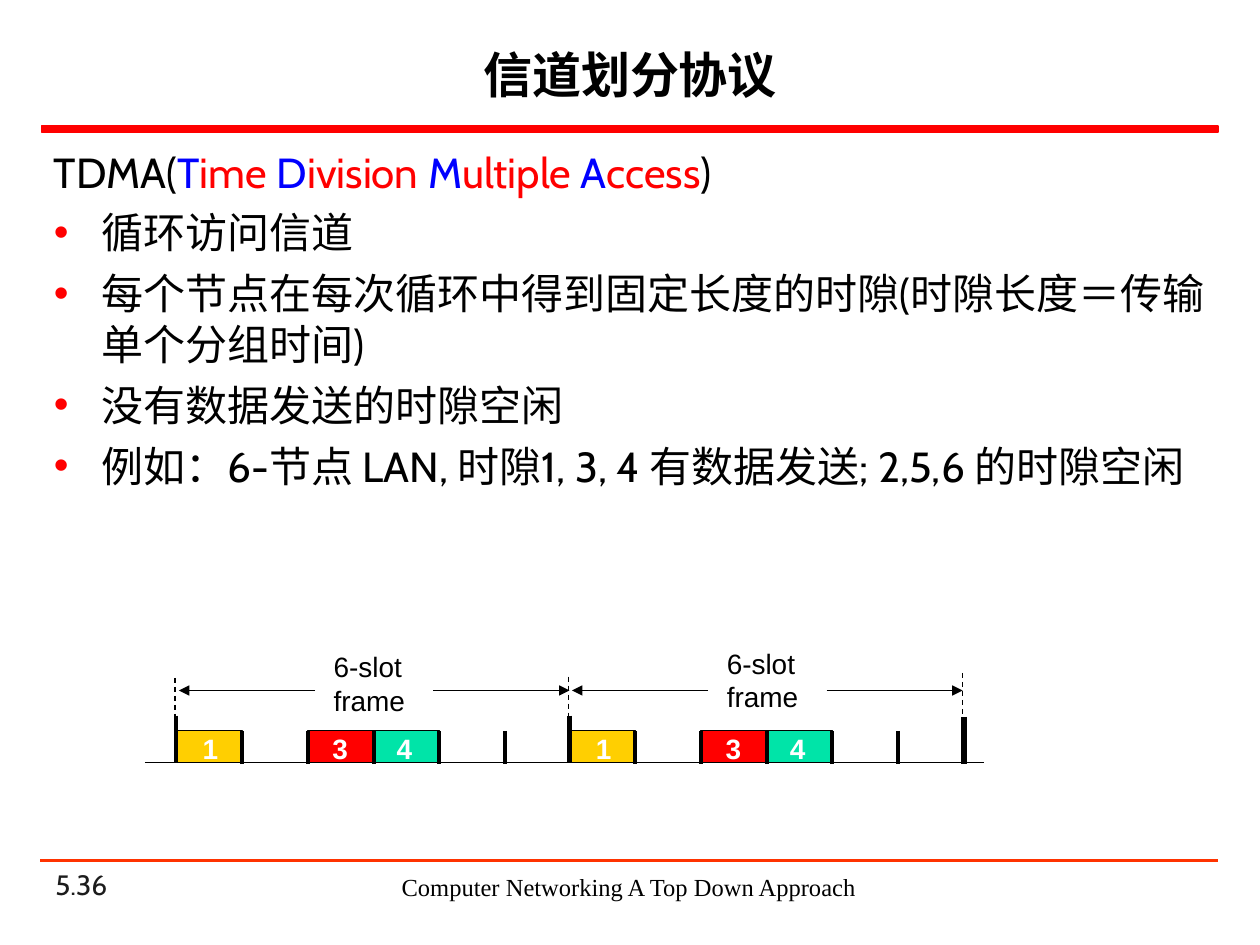
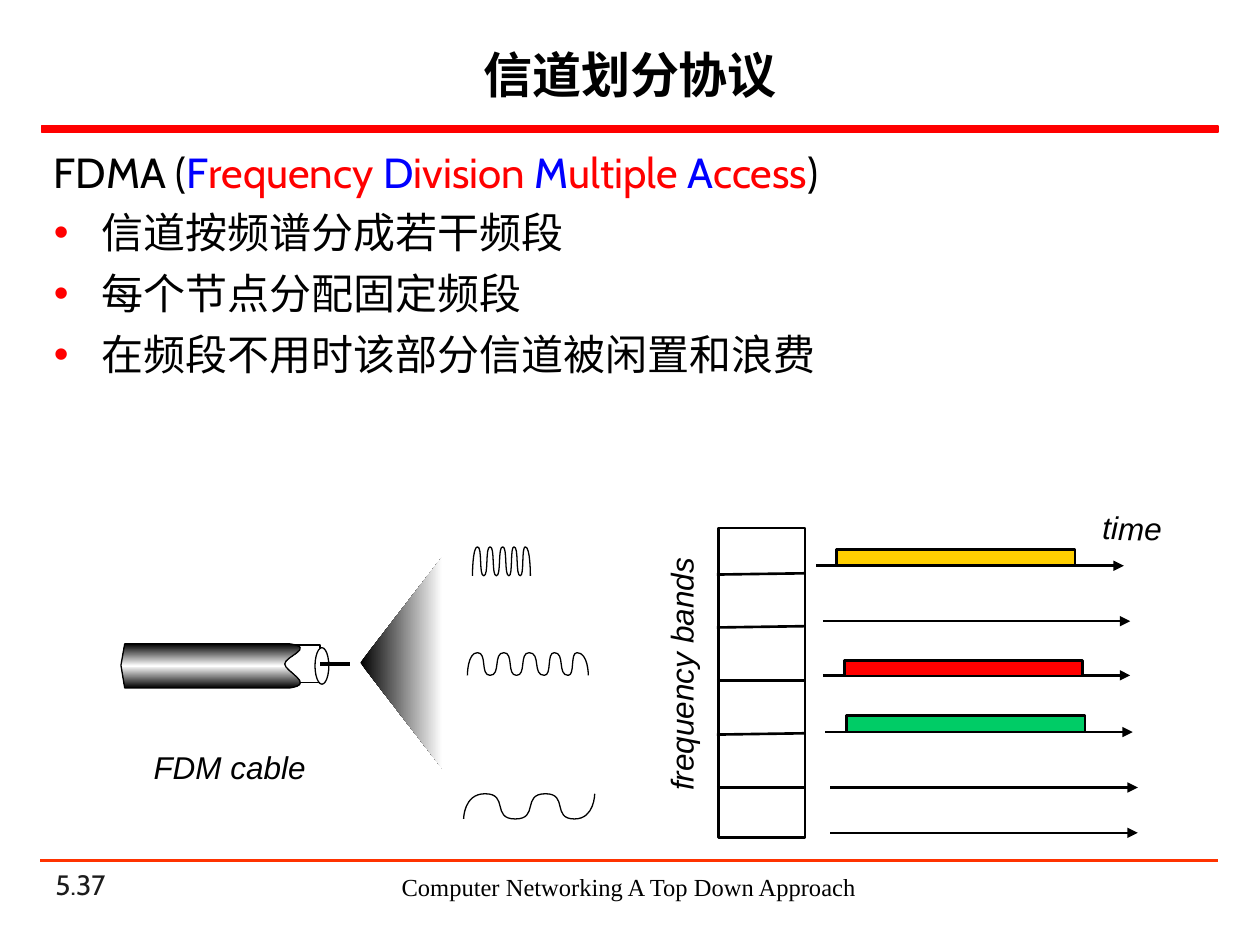
from copy import deepcopy
from pptx import Presentation
from pptx.dml.color import RGBColor
from pptx.enum.dml import MSO_LINE
from pptx.enum.shapes import MSO_CONNECTOR, MSO_SHAPE
from pptx.enum.text import MSO_ANCHOR, PP_ALIGN
from pptx.oxml.ns import qn
from pptx.oxml.xmlchemy import OxmlElement
from pptx.util import Inches, Pt

RECT, OVAL = MSO_SHAPE.RECTANGLE, MSO_SHAPE.OVAL
STRAIGHT, DASH = MSO_CONNECTOR.STRAIGHT, MSO_LINE.DASH
LEFT, CENTER = PP_ALIGN.LEFT, PP_ALIGN.CENTER
TOP, MIDDLE, BOTTOM = MSO_ANCHOR.TOP, MSO_ANCHOR.MIDDLE, MSO_ANCHOR.BOTTOM

BLACK = RGBColor(0x00, 0x00, 0x00)
WHITE = RGBColor(0xFF, 0xFF, 0xFF)
RED = RGBColor(0xFF, 0x00, 0x00)
BLUE = RGBColor(0x00, 0x00, 0xFF)
GOLD = RGBColor(0xFF, 0xCF, 0x01)
MINT = RGBColor(0x00, 0xE4, 0xA8)
GREEN = RGBColor(0x00, 0xCC, 0x66)
RULE = RGBColor(0xFF, 0x33, 0x00)
GREY = RGBColor(0x1C, 0x1C, 0x1C)

HEAD = {"name": "Cabin", "size": Pt(28), "bold": True}
BODY = {"name": "Cabin", "size": Pt(24)}
PAGE = {"name": "Cabin", "size": Pt(16)}
FOOT = {"name": "Times New Roman", "size": Pt(14)}
SLOT = {"name": "Arial", "size": Pt(16), "bold": True}
SPAN = {"name": "Arial", "size": Pt(16)}
NOTE = {"name": "Arial", "size": Pt(18), "italic": True}


def write(shape, box, paras, fmt, align=LEFT, anchor=TOP, wrap=True):
    """Place a text shape and fill it; each paragraph is a list of (text, colour)."""
    shape.left, shape.top, shape.width, shape.height = map(Inches, box)
    frame = shape.text_frame
    frame.word_wrap, frame.vertical_anchor = wrap, anchor
    for i, runs in enumerate(paras):
        para = frame.add_paragraph() if i else frame.paragraphs[0]
        para.alignment = align
        for words, color in runs:
            run = para.add_run()
            run.text = words
            run.font.color.rgb = color
            for key, value in fmt.items():
                setattr(run.font, key, value)
    return shape


def draw(shapes, x1, y1, x2, y2, width=0.75, color=BLACK, dash=None, arrow=False):
    """Draw a straight line, with an arrowhead at its end if asked."""
    link = shapes.add_connector(STRAIGHT, *map(Inches, (x1, y1, x2, y2)))
    link.line.width = Pt(width)
    link.line.color.rgb = color
    if dash:
        link.line.dash_style = dash
    props = link.line._get_or_add_ln().getparent()
    if arrow:
        tail = OxmlElement("a:tailEnd")
        tail.set("type", "triangle")
        props.find(qn("a:ln")).append(tail)
    props.append(OxmlElement("a:effectLst"))


deck = Presentation()
deck.slide_width, deck.slide_height = Inches(10), Inches(7.5)

# Shared frame, title and bullets
pages = [
    ("5.36", "TDMA(", "Time Division Multiple Access", 3.45,
     ["循环访问信道",
      "每个节点在每次循环中得到固定长度的时隙(时隙长度＝传输单个分组时间)",
      "没有数据发送的时隙空闲",
      "例如：6-节点 LAN, 时隙1, 3, 4 有数据发送; 2,5,6 的时隙空闲"]),
    ("5.37", "FDMA (", "Frequency Division Multiple Access", 2.35,
     ["信道按频谱分成若干频段",
      "每个节点分配固定频段",
      "在频段不用时该部分信道被闲置和浪费"]),
]
for num, lead, term, tall, points in pages:
    slide = deck.slides.add_slide(deck.slide_layouts[5])
    shapes = slide.shapes
    write(shapes.title, (0.33, 0.24, 9.34, 0.7), [[("信道划分协议", BLACK)]],
          HEAD, CENTER, MIDDLE)
    band = shapes.add_shape(RECT, *map(Inches, (0.33, 1, 9.34, 0.05)))
    band.shadow.inherit = False
    band.fill.solid()
    band.fill.fore_color.rgb = band.line.color.rgb = RED
    band.line.width = Pt(1)
    draw(shapes, 0.32, 6.83, 9.67, 6.83, 1.5, RULE)
    for box, words, fmt, color, align, anchor in [
            ((0.34, 6.98, 2.08, 0.22), num, PAGE, GREY, LEFT, BOTTOM),
            ((2.95, 6.87, 4.08, 0.34), "Computer Networking A Top Down Approach",
             FOOT, BLACK, CENTER, TOP)]:
        write(shapes.add_textbox(0, 0, 0, 0), box, [[(words, color)]], fmt, align, anchor)

    first = [(lead, BLACK)]
    words = term.split()
    for i, word in enumerate(words):
        gap = " " if i < len(words) - 1 else ""
        first += [(word[0], BLUE), (word[1:] + gap, RED)]
    first.append((")", BLACK))
    body = write(shapes.add_textbox(0, 0, 0, 0), (0.33, 1.11, 9.35, tall),
                 [first] + [[(point, BLACK)] for point in points], BODY)
    for para in body.text_frame.paragraphs[1:]:
        para.space_before = Pt(6)
        props = para._p.get_or_add_pPr()
        props.set("marL", str(Inches(0.38)))
        props.set("indent", str(-Inches(0.38)))
        tint, face, mark = map(OxmlElement, ("a:buClr", "a:buFont", "a:buChar"))
        shade = OxmlElement("a:srgbClr")
        shade.set("val", str(RED))
        tint.append(shade)
        face.set("typeface", "Arial")
        mark.set("char", "•")
        props.extend([tint, face, mark])

# Slide 1: two frames of six time slots
shapes = deck.slides[0].shapes
STEP = 3.13 / 6
draw(shapes, 1.15, 6.05, 7.81, 6.05)
for start, top, thick in [(1.4, 5.11, 2.25), (4.52, 5.08, 3)]:
    for slot, shift, color in [(0, 0.11, GOLD), (2, 1.14, RED), (3, 1.65, MINT)]:
        left = start + slot * STEP
        cell = shapes.add_shape(RECT, *map(Inches, (left, 5.8, STEP, 0.25)))
        cell.shadow.inherit = False
        cell.fill.solid()
        cell.fill.fore_color.rgb = color
        cell.line.color.rgb = BLACK
        cell.line.width = Pt(0.75)
        write(shapes.add_textbox(0, 0, 0, 0), (start + shift, 5.76, 0.32, 0.37),
              [[(str(slot + 1), WHITE)]], SLOT, wrap=False)
    draw(shapes, start, 5.68, start, 6.05, thick)
    for slot in range(1, 6):
        left = start + slot * STEP
        draw(shapes, left, 5.8, left, 6.06, 2.25)
    write(shapes.add_textbox(0, 0, 0, 0), (start + 1.15, top, 0.77, 0.64),
          [[("6-slot", BLACK)], [("frame", BLACK)]], SPAN, wrap=False)
    for near, far in [(2.04, 3.12), (1.1, 0.02)]:
        draw(shapes, start + near, 5.48, start + far, 5.48, arrow=True)
draw(shapes, 7.65, 5.69, 7.65, 6.06, 3)
for left, top in [(1.39, 5.38), (4.51, 5.37), (7.64, 5.34)]:
    draw(shapes, left, top, left, top + 0.33, dash=DASH)

# Slide 2: frequency bands, cable end and core
shapes = deck.slides[1].shapes
for kind, box, width in [(RECT, (5.7, 4.19, 0.69, 2.46), 1.5),
                         (RECT, (2.25, 5.12, 0.29, 0.3), 0.75),
                         (OVAL, (2.5, 5.14, 0.11, 0.29), 0.75)]:
    part = shapes.add_shape(kind, *map(Inches, box))
    part.shadow.inherit = False
    part.fill.solid()
    part.fill.fore_color.rgb = WHITE
    part.line.color.rgb = BLACK
    part.line.width = Pt(width)
for top, end in [(4.56, 4.55), (4.98, 4.97), (5.4, 5.4), (5.83, 5.82), (6.25, 6.25)]:
    draw(shapes, 5.69, top, 6.38, end, 1.5)
draw(shapes, 2.54, 5.27, 2.78, 5.27, 2.25)

# Time axes
for left, top in [(6.48, 4.49), (6.53, 4.93), (6.53, 5.36),
                  (6.55, 5.81), (6.59, 6.25), (6.59, 6.61)]:
    draw(shapes, left, top, left + 2.44, top, 1.5, arrow=True)

# Outlines: a step is a point, or two handles and a point of a curve
outs = [
    ([(3.51, 4.42), (2.86, 5.26), (3.51, 6.1), (3.51, 4.42)],
     True, [BLACK, WHITE], 0, 0),
    ([(0.99, 5.11), (0.96, 5.28), (0.99, 5.46), (2.3, 5.46),
      (2.51, 5.43, 2.26, 5.33, 2.26, 5.27), (2.26, 5.21, 2.51, 5.14, 2.3, 5.11),
      (0.99, 5.11)], True, [BLACK, WHITE, BLACK], 90, 0.75),
]
for left, low, color in [(6.64, 4.48, GOLD), (6.7, 5.36, RED), (6.72, 5.8, GREEN)]:
    outs.append(([(left, low), (left, low - 0.12), (left + 1.89, low - 0.12),
                  (left + 1.89, low)], False, [color], 0, 1.5))

# Waves: turning points from low to high and back
for high, low, turns in [
        (5.18, 5.36, [3.71, 3.79, 3.89, 4, 4.1, 4.2, 4.32, 4.4, 4.51, 4.58, 4.67]),
        (4.34, 4.57, [3.75, 3.79, 3.84, 3.89, 3.94, 3.99, 4.04, 4.08, 4.13, 4.17, 4.21]),
        (6.3, 6.5, [3.68, 3.85, 4.09, 4.33, 4.56, 4.72])]:
    steps = [(turns[0], low)]
    for i, (x, end) in enumerate(zip(turns, turns[1:])):
        y, goal = (high, low) if i % 2 else (low, high)
        out, back = 0.8, 0.8
        if i == 0:
            out, back = 0, 1
        elif i == len(turns) - 2:
            out, back = 1, 0
        run = end - x
        steps.append((x + out * run, y, end - back * run, goal, end, goal))
    outs.append((steps, False, [], 0, 0.75))

for steps, close, colors, angle, width in outs:
    flat = [Inches(value) for step in steps for value in step]
    dots = list(zip(flat[::2], flat[1::2]))
    pen = shapes.build_freeform(*dots[0])
    pen.add_line_segments(dots[1:], close=close)
    form = pen.convert_to_shape()
    form.shadow.inherit = False
    # Join each three-point step into one curve
    legs = list(form._element.iter(qn("a:lnTo")))
    for step in steps[1:]:
        leg = legs.pop(0)
        if len(step) == 6:
            bend = OxmlElement("a:cubicBezTo")
            leg.addprevious(bend)
            for piece in (leg, legs.pop(0), legs.pop(0)):
                bend.append(piece[0])
                piece.getparent().remove(piece)
    if len(colors) > 1:
        form.fill.gradient()
        form.fill.gradient_angle = angle
        stops = form._element.spPr.find(qn("a:gradFill")).find(qn("a:gsLst"))
        while len(stops) < len(colors):
            stops.append(deepcopy(stops[0]))
        for i, (stop, color) in enumerate(zip(form.fill.gradient_stops, colors)):
            stop.color.rgb = color
            stop.position = i / (len(colors) - 1)
    elif colors:
        form.fill.solid()
        form.fill.fore_color.rgb = colors[0]
    else:
        form.fill.background()
    if width:
        form.line.color.rgb = BLACK
        form.line.width = Pt(width)
    else:
        form.line.fill.background()

# Labels
for words, box, turn in [("frequency bands", (4.38, 5.15, 2.05, 0.4), 270),
                         ("time", (8.65, 3.99, 0.67, 0.4), 1.1),
                         ("FDM cable", (1.12, 5.89, 1.41, 0.4), 0)]:
    label = write(shapes.add_textbox(0, 0, 0, 0), box, [[(words, BLACK)]], NOTE, wrap=False)
    label.rotation = turn

deck.save("out.pptx")
